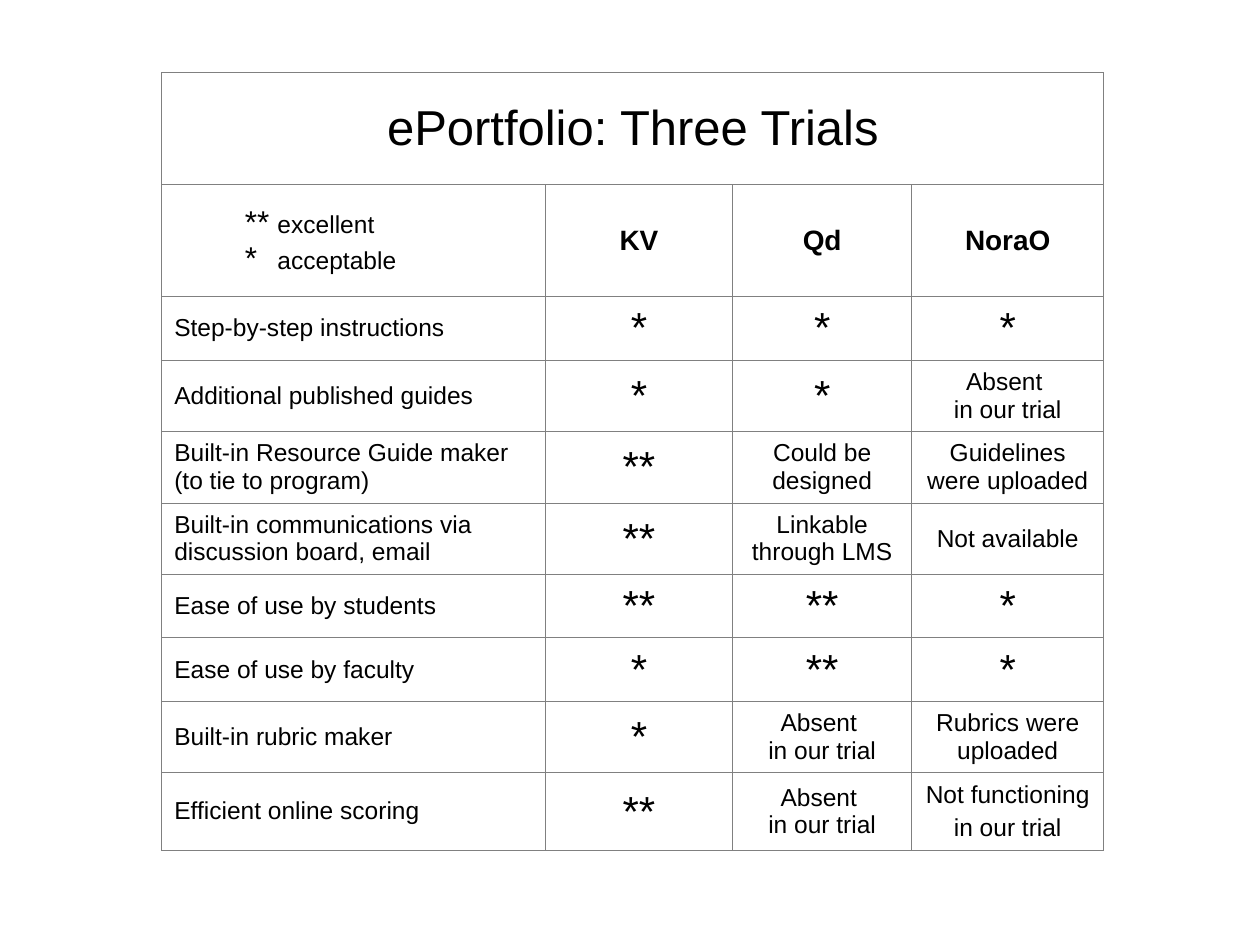
from lxml.etree import SubElement
from pptx import Presentation
from pptx.dml.color import RGBColor
from pptx.enum.text import MSO_ANCHOR, PP_ALIGN
from pptx.oxml.ns import qn
from pptx.util import Cm, Pt

TITLE = "ePortfolio: Three Trials"
LEGEND = [("**", "excellent"), ("*", "acceptable")]
SYSTEMS = ["KV", "Qd", "NoraO"]

# "\n" breaks a line; a tuple holds separate paragraphs
ABSENT = "Absent \nin our trial"
CRITERIA = [
    ("Step-by-step instructions", "*", "*", "*"),
    ("Additional published guides", "*", "*", ABSENT),
    ("Built-in Resource Guide maker (to tie to program)",
     "**", "Could be designed", "Guidelines were uploaded"),
    ("Built-in communications via discussion board, email",
     "**", "Linkable through LMS", "Not available"),
    ("Ease of use by students", "**", "**", "*"),
    ("Ease of use by faculty", "*", "**", "*"),
    ("Built-in rubric maker", "*", ABSENT, "Rubrics were uploaded"),
    ("Efficient online scoring", "**", ABSENT, ("Not functioning", "in our trial")),
]

COLORS = {"text": "000000", "border": "808080"}
FONT = "Arial"
SIZES = {"title": 28, "system": 16, "rating": 24, "body": 14, "key": 18}
LEFT, TOP = 3.26, 1.46
COLUMN_WIDTHS = [7.73, 3.78, 3.61, 3.87]
HEADER, SINGLE, DOUBLE, LAST = 2.26, 1.28, 1.44, 1.56
ROW_HEIGHTS = [HEADER, HEADER, SINGLE, DOUBLE, DOUBLE, DOUBLE,
               SINGLE, SINGLE, DOUBLE, LAST]
LEGEND_INDENT, LEGEND_HANGING = Cm(2.08), Cm(0.66)


def add_text(paragraph, text, size, bold=False):
    for number, line in enumerate(text.split("\n")):
        if number:
            paragraph.add_line_break()
        run = paragraph.add_run()
        run.text = line
        run.font.name = FONT
        run.font.size = Pt(size)
        run.font.bold = bold
        run.font.color.rgb = RGBColor.from_string(COLORS["text"])


def next_paragraph(frame, number):
    return frame.add_paragraph() if number else frame.paragraphs[0]


def fill_cell(cell, content, size, align=PP_ALIGN.CENTER, bold=False):
    parts = content if isinstance(content, tuple) else (content,)
    for number, text in enumerate(parts):
        paragraph = next_paragraph(cell.text_frame, number)
        paragraph.alignment = align
        if number:
            paragraph.space_before = Pt(3.5)
        add_text(paragraph, text, size, bold)


def fill_legend(cell):
    for number, (mark, meaning) in enumerate(LEGEND):
        paragraph = next_paragraph(cell.text_frame, number)
        properties = paragraph._p.get_or_add_pPr()
        properties.set("marL", str(LEGEND_INDENT))
        properties.set("indent", str(-LEGEND_HANGING))
        add_text(paragraph, mark + "\t", SIZES["key"])
        add_text(paragraph, meaning, SIZES["body"])


def style_cell(cell):
    cell.vertical_anchor = MSO_ANCHOR.MIDDLE
    properties = cell._tc.get_or_add_tcPr()
    for side in ("a:lnL", "a:lnR", "a:lnT", "a:lnB"):
        line = SubElement(properties, qn(side), w=str(Pt(0.45)))
        fill = SubElement(line, qn("a:solidFill"))
        SubElement(fill, qn("a:srgbClr"), val=COLORS["border"])
    cell.fill.background()


presentation = Presentation()
presentation.slide_width, presentation.slide_height = Cm(25.4), Cm(19.05)
slide = presentation.slides.add_slide(presentation.slide_layouts[6])

# Table grid
table = slide.shapes.add_table(
    len(ROW_HEIGHTS), len(COLUMN_WIDTHS), Cm(LEFT), Cm(TOP),
    Cm(sum(COLUMN_WIDTHS)), Cm(sum(ROW_HEIGHTS))).table
table.first_row = False
table.horz_banding = False
for column, width in zip(table.columns, COLUMN_WIDTHS):
    column.width = Cm(width)
for row, height in zip(table.rows, ROW_HEIGHTS):
    row.height = Cm(height)
for cell in table.iter_cells():
    style_cell(cell)

# Title, legend and system names
table.cell(0, 0).merge(table.cell(0, len(COLUMN_WIDTHS) - 1))
fill_cell(table.cell(0, 0), TITLE, SIZES["title"])
fill_legend(table.cell(1, 0))
for column, system in enumerate(SYSTEMS, 1):
    fill_cell(table.cell(1, column), system, SIZES["system"], bold=True)

# Criteria and ratings
for row, (criterion, *ratings) in enumerate(CRITERIA, 2):
    fill_cell(table.cell(row, 0), criterion, SIZES["body"], PP_ALIGN.LEFT)
    for column, rating in enumerate(ratings, 1):
        kind = "rating" if rating in ("*", "**") else "body"
        fill_cell(table.cell(row, column), rating, SIZES[kind])

presentation.save("out.pptx")
